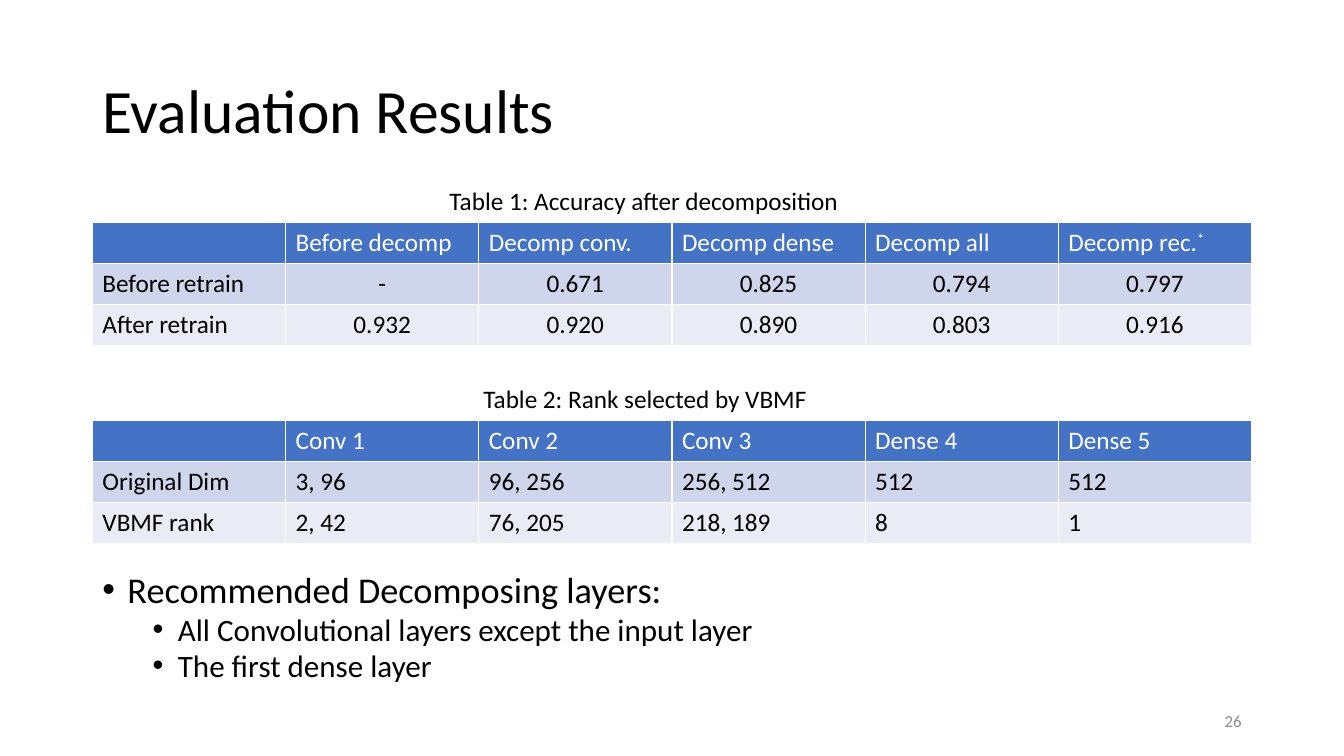
from dataclasses import dataclass

from lxml import etree
from pptx import Presentation
from pptx import util as u
from pptx.dml.color import RGBColor
from pptx.enum import text
from pptx.oxml import ns

Pt = u.Pt
BLACK = RGBColor(0x00, 0x00, 0x00)
WHITE = RGBColor(0xFF, 0xFF, 0xFF)
GRAY = RGBColor(0x8C, 0x8C, 0x8C)
BLUE = RGBColor(0x44, 0x72, 0xC4)
BAND_DARK = RGBColor(0xCF, 0xD5, 0xEA)
BAND_LIGHT = RGBColor(0xE9, 0xEB, 0xF5)
ROW_FILLS = (BLUE, BAND_DARK, BAND_LIGHT)
LEFT, WIDTH, ROW_HEIGHT = 66, 828, 29.25
ALIGN = text.PP_ALIGN
ANCHOR = text.MSO_ANCHOR


@dataclass
class Box:
    left: float
    top: float
    width: float
    height: float


@dataclass
class ResultTable:
    top: float
    rows: list[list[str]]
    value_align: ALIGN
    caption: str
    caption_box: Box


@dataclass
class Bullet:
    words: str
    level: int
    size: float
    indent: float
    before: float


TABLES = [
    ResultTable(159.2, [
        ["", "Before decomp", "Decomp conv.", "Decomp dense", "Decomp all", "Decomp rec.*"],
        ["Before retrain", "-", "0.671", "0.825", "0.794", "0.797"],
        ["After retrain", "0.932", "0.920", "0.890", "0.803", "0.916"],
    ], ALIGN.CENTER, "Table 1: Accuracy after decomposition", Box(314, 129, 296, 29)),
    ResultTable(300.5, [
        ["", "Conv 1", "Conv 2", "Conv 3", "Dense 4", "Dense 5"],
        ["Original Dim", "3, 96", "96, 256", "256, 512", "512", "512"],
        ["VBMF rank", "2, 42", "76, 205", "218, 189", "8", "1"],
    ], ALIGN.LEFT, "Table 2: Rank selected by VBMF", Box(338.2, 270, 248.4, 29)),
]
BULLETS = [
    Bullet("Recommended Decomposing layers:", 0, 25.9, 18, 0),
    Bullet("All Convolutional layers except the input layer", 1, 22.2, 54, 5),
    Bullet("The first dense layer", 1, 22.2, 54, 5),
]


def write(p, words: str, *, size: float = 18, color: RGBColor = BLACK,
          align: ALIGN = ALIGN.LEFT, spacing: float = 1.0,
          before: float = 0, raised: bool = False) -> None:
    p.alignment = align
    p.line_spacing = spacing
    p.space_before = Pt(before)
    r = p.add_run()
    r.text = words
    r.font.name = "Calibri"
    r.font.size = Pt(size)
    r.font.bold = False
    r.font.color.rgb = color
    if raised:
        r._r.get_or_add_rPr().set("baseline", "30000")


def add_box(s, box: Box, *, anchor: ANCHOR = ANCHOR.TOP, wrap: bool = True):
    sp = s.shapes.add_textbox(Pt(box.left), Pt(box.top), Pt(box.width), Pt(box.height))
    tf = sp.text_frame
    tf.word_wrap = wrap
    tf.vertical_anchor = anchor
    if not wrap:
        tf.auto_size = text.MSO_AUTO_SIZE.SHAPE_TO_FIT_TEXT
    return tf


def add_bullets(s, box: Box, bullets: list[Bullet]) -> None:
    tf = add_box(s, box)
    for i, b in enumerate(bullets):
        p = tf.add_paragraph() if i else tf.paragraphs[0]
        p.level = b.level
        pPr = p._p.get_or_add_pPr()
        pPr.set("marL", str(Pt(b.indent)))
        pPr.set("indent", str(Pt(-18)))
        font = etree.SubElement(pPr, ns.qn("a:buFont"))
        font.set("typeface", "Arial")
        etree.SubElement(pPr, ns.qn("a:buChar")).set("char", "•")
        write(p, b.words, size=b.size, spacing=0.8, before=b.before)


def add_result_table(s, t: ResultTable) -> None:
    n_rows, n_cols = len(t.rows), len(t.rows[0])
    table = s.shapes.add_table(n_rows, n_cols, Pt(LEFT), Pt(t.top),
                               Pt(WIDTH), Pt(n_rows * ROW_HEIGHT)).table
    for i, (row, fill) in enumerate(zip(t.rows, ROW_FILLS)):
        for j, words in enumerate(row):
            cell = table.cell(i, j)
            cell.fill.solid()
            cell.fill.fore_color.rgb = fill
            if not words:
                continue
            color = BLACK if i else WHITE
            align = t.value_align if i and j else ALIGN.LEFT
            p = cell.text_frame.paragraphs[0]
            write(p, words.rstrip("*"), color=color, align=align)
            if words.endswith("*"):
                write(p, "*", color=color, align=align, raised=True)


def main() -> None:
    prs = Presentation()
    prs.slide_width, prs.slide_height = Pt(960), Pt(540)
    s = prs.slides.add_slide(prs.slide_layouts[6])
    tf = add_box(s, Box(LEFT, 28.8, WIDTH, 104.4), anchor=ANCHOR.MIDDLE)
    write(tf.paragraphs[0], "Evaluation Results", size=44, spacing=0.9)
    tf = add_box(s, Box(678, 500.5, 216, 28.8), anchor=ANCHOR.MIDDLE)
    write(tf.paragraphs[0], "26", size=12, color=GRAY, align=ALIGN.RIGHT)
    add_bullets(s, Box(LEFT, 407.5, WIDTH, 88.6), BULLETS)
    for t in TABLES:
        add_result_table(s, t)
        tf = add_box(s, t.caption_box, wrap=False)
        write(tf.paragraphs[0], t.caption)
    prs.save("out.pptx")


if __name__ == "__main__":
    main()
